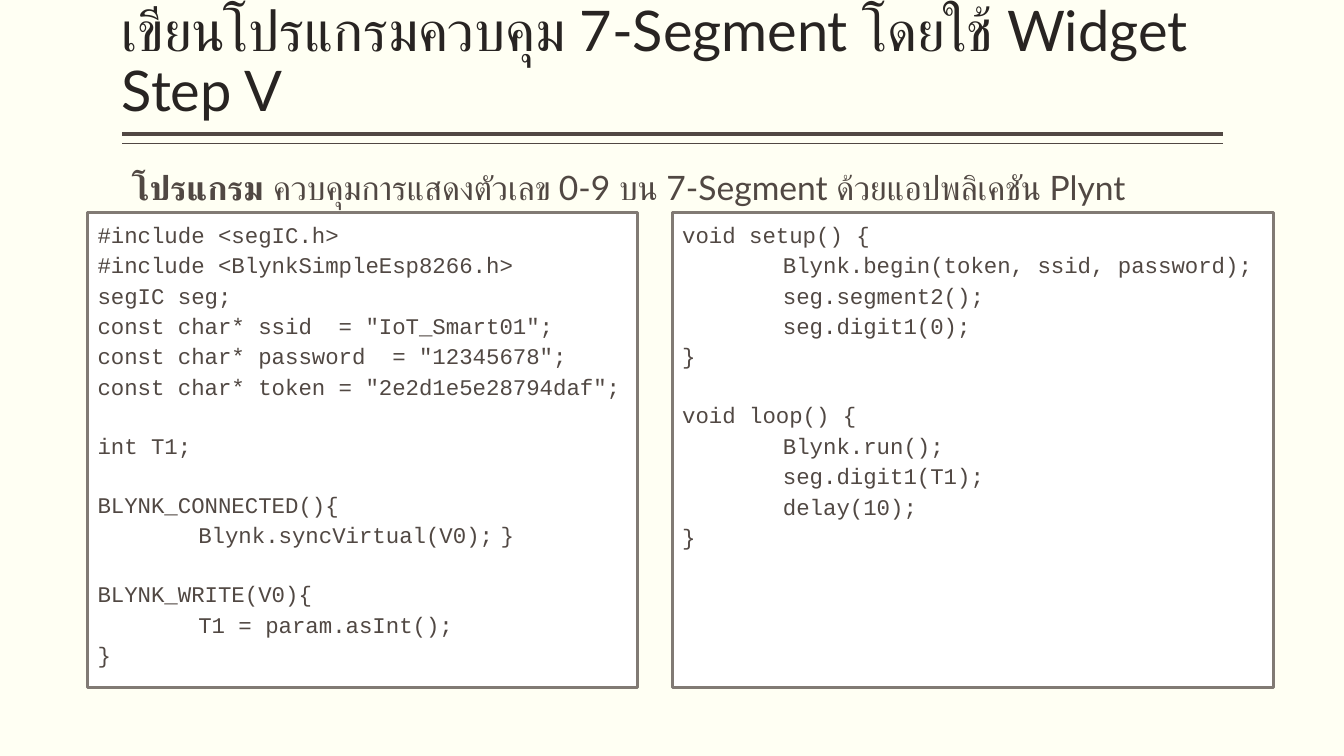
from pptx import Presentation
from pptx.dml.color import RGBColor
from pptx.enum.shapes import MSO_CONNECTOR as Connector, MSO_SHAPE as Shape
from pptx.enum.text import MSO_ANCHOR as Anchor, MSO_AUTO_SIZE as AutoSize, PP_ALIGN as Align
from pptx.oxml.ns import qn
from pptx.util import Pt
from lxml.etree import SubElement

SETUP_CODE = """#include <segIC.h>
#include <BlynkSimpleEsp8266.h>
segIC seg;
const char* ssid  = "IoT_Smart01";
const char* password  = "12345678";
const char* token = "2e2d1e5e28794daf";

int T1;

BLYNK_CONNECTED(){
\tBlynk.syncVirtual(V0);\t}

BLYNK_WRITE(V0){
\tT1 = param.asInt();
}"""

LOOP_CODE = """void setup() {
\tBlynk.begin(token, ssid, password);
\tseg.segment2();
\tseg.digit1(0);
}

void loop() {
\tBlynk.run();
\tseg.digit1(T1);
\tdelay(10);
}"""


def color(value):
    return RGBColor.from_string(value)


def write(para, text, size=16, font="Lato", ink="514843", bold=False):
    span = para.add_run()
    span.text = text
    span.font.size = Pt(size)
    span.font.name = font
    span.font.bold = bold
    span.font.color.rgb = color(ink)


class CodeSlide:
    paper = "FFFFF3"
    ink = "514843"
    heading = "282422"
    border = "817A74"
    line_height = 20.5
    tab_width = 72

    def __init__(self, deck):
        self.page = deck.slides.add_slide(deck.slide_layouts[5])
        fill = self.page.background.fill
        fill.solid()
        fill.fore_color.rgb = color(self.paper)

    def title(self, text, left, top, width, height):
        box = self.page.shapes.title
        box.left, box.top, box.width, box.height = map(Pt, (left, top, width, height))
        frame = box.text_frame
        frame.auto_size = AutoSize.NONE
        frame.word_wrap = True
        frame.vertical_anchor = Anchor.BOTTOM
        frame.margin_left = frame.margin_right = 0
        frame.margin_top = frame.margin_bottom = Pt(3.6)
        para = frame.paragraphs[0]
        para.alignment = Align.LEFT
        para.line_spacing = 0.9
        write(para, text, size=40, ink=self.heading)

    def rule(self, left, right, top, weight):
        line = self.page.shapes.add_connector(
            Connector.STRAIGHT, Pt(right), Pt(top), Pt(left), Pt(top))
        line.line.color.rgb = color(self.ink)
        line.line.width = Pt(weight)
        SubElement(line._element.spPr, qn("a:effectLst"))

    def caption(self, label, text, left, top, width, height):
        box = self.page.shapes.add_textbox(*map(Pt, (left, top, width, height)))
        box.text_frame.word_wrap = True
        para = box.text_frame.paragraphs[0]
        write(para, label, size=24, bold=True)
        write(para, text, size=24)

    def code(self, text, left, top, width, height):
        box = self.page.shapes.add_shape(
            Shape.RECTANGLE, *map(Pt, (left, top, width, height)))
        box.shadow.inherit = False
        box.fill.solid()
        box.fill.fore_color.rgb = color("FFFFFF")
        box.line.color.rgb = color(self.border)
        box.line.width = Pt(2.25)
        frame = box.text_frame
        frame.word_wrap = False
        frame.vertical_anchor = Anchor.TOP
        for number, block in enumerate(text.split("\n\n")):
            for row, line in enumerate(block.split("\n")):
                first = number == row == 0
                para = frame.paragraphs[0] if first else frame.add_paragraph()
                self.tab_stops(para)
                para.alignment = Align.LEFT
                para.line_spacing = 1.13
                if number and row == 0:
                    para.space_before = Pt(self.line_height)
                write(para, line, font="Courier New")

    def tab_stops(self, para):
        stops = SubElement(para._p.get_or_add_pPr(), qn("a:tabLst"))
        for step in range(1, 5):
            SubElement(stops, qn("a:tab"), pos=str(Pt(step * self.tab_width)), algn="l")


def main():
    deck = Presentation()
    deck.slide_width, deck.slide_height = Pt(960), Pt(540)
    slide = CodeSlide(deck)
    left, right = 87.1, 873.4
    slide.rule(left, right, top=95.8, weight=3)
    slide.rule(left, right, top=102.6, weight=1)
    slide.title("เขียนโปรแกรมควบคุม 7-Segment โดยใช้ Widget Step V",
                left, 5.8, right - left, 86.4)
    slide.caption("โปรแกรม ", "ควบคุมการแสดงตัวเลข 0-9 บน 7-Segment ด้วยแอปพลิเคชัน Plynt",
                  left, 115.9, 830.9, 36)
    for text, start, width in ((SETUP_CODE, 62.6, 393.1), (LOOP_CODE, 480.2, 429.8)):
        slide.code(text, start, 151.9, width, 339.1)
    deck.save("out.pptx")


if __name__ == "__main__":
    main()
